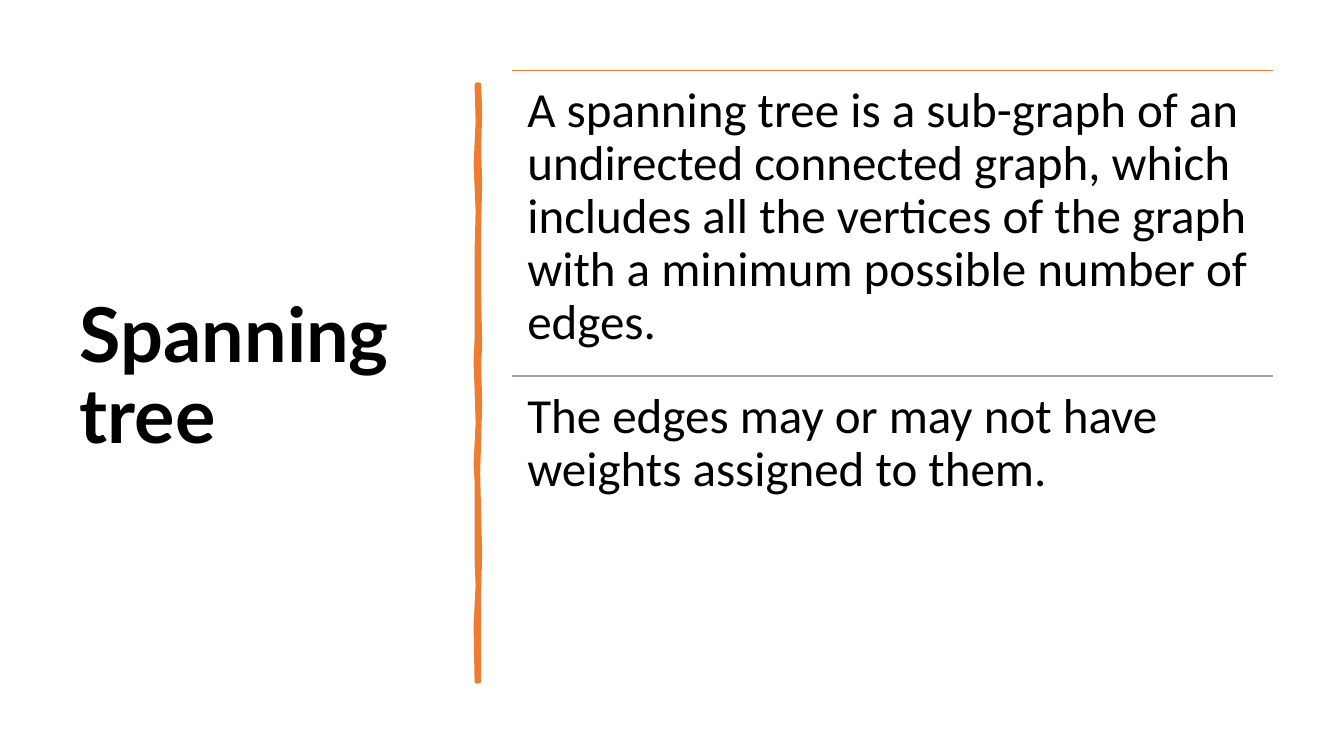
import pptx
import pptx.dml.color
import pptx.enum.shapes
import pptx.enum.text
import pptx.oxml
import pptx.util

Inches = pptx.util.Inches
Pt = pptx.util.Pt


def colour(value):
    return pptx.dml.color.RGBColor.from_string(value)


class SlideBuilder:
    text_colour = "000000"
    accent = "ED7D31"
    grey = "A5A5A5"
    heading_font = "Lato"
    body_font = "Calibri"

    def __init__(self, page):
        self.page = page

    def set_text(self, box, text, font, size, anchor, inset, bold=False):
        frame = box.text_frame
        frame.text = text
        frame.word_wrap = True
        frame.auto_size = pptx.enum.text.MSO_AUTO_SIZE.NONE
        frame.vertical_anchor = anchor
        frame.margin_left = frame.margin_right = Inches(inset)
        frame.margin_top = frame.margin_bottom = Inches(inset)
        para = frame.paragraphs[0]
        para.alignment = pptx.enum.text.PP_ALIGN.LEFT
        para.line_spacing = 0.9
        for span in para.runs:
            span.font.name = font
            span.font.size = Pt(size)
            span.font.bold = bold
            span.font.color.rgb = colour(self.text_colour)

    def title(self, text, left, top, width, height):
        box = self.page.shapes.title
        box.left, box.top = Inches(left), Inches(top)
        box.width, box.height = Inches(width), Inches(height)
        self.set_text(box, text, self.heading_font, 54,
                      pptx.enum.text.MSO_ANCHOR.MIDDLE, 0.1, bold=True)

    def statement(self, text, left, top, width, height):
        box = self.page.shapes.add_textbox(
            Inches(left), Inches(top), Inches(width), Inches(height))
        self.set_text(box, text, self.body_font, 35,
                      pptx.enum.text.MSO_ANCHOR.TOP, 0.15)

    def rule(self, left, top, width, line_colour):
        line = self.page.shapes.add_connector(
            pptx.enum.shapes.MSO_CONNECTOR.STRAIGHT,
            Inches(left), Inches(top), Inches(left + width), Inches(top))
        line.line.color.rgb = colour(line_colour)
        line.line.width = Pt(1)
        properties = line._element.spPr
        properties.append(pptx.oxml.parse_xml(
            '<a:effectLst xmlns:a="http://schemas.openxmlformats.org/drawingml/2006/main"/>'))

    def brush_stroke(self, right_edge, left_edge):
        points = right_edge + left_edge[::-1]
        hundredths = [(x * 100, y * 100) for x, y in points]
        builder = self.page.shapes.build_freeform(*hundredths[0], scale=Inches(0.01))
        builder.add_line_segments(hundredths[1:], close=True)
        stroke = builder.convert_to_shape()
        stroke.shadow.inherit = False
        stroke.fill.solid()
        stroke.fill.fore_color.rgb = colour(self.accent)
        stroke.line.color.rgb = colour(self.accent)
        stroke.line.width = Pt(3.25)


def main():
    deck = pptx.Presentation()
    deck.slide_width, deck.slide_height = Inches(13.33), Inches(7.5)
    builder = SlideBuilder(deck.slides.add_slide(deck.slide_layouts[5]))

    builder.title("Spanning tree", 0.69, 0.7, 3.74, 6.11)
    builder.brush_stroke(
        [(4.75, 0.84), (4.76, 1.1), (4.75, 1.5), (4.76, 1.8), (4.75, 2.26),
         (4.75, 2.94), (4.76, 3.4), (4.75, 3.62), (4.76, 4.0), (4.75, 4.36),
         (4.74, 4.7), (4.75, 5.1), (4.76, 5.5), (4.75, 5.84), (4.75, 6.76)],
        [(4.73, 0.84), (4.74, 1.2), (4.72, 1.64), (4.73, 1.85), (4.74, 2.1),
         (4.73, 2.5), (4.73, 3.35), (4.72, 3.6), (4.73, 3.86), (4.74, 4.2),
         (4.72, 4.6), (4.73, 4.77), (4.73, 5.57), (4.74, 5.8), (4.72, 6.2),
         (4.73, 6.76)])

    left, top, width, height = 5.08, 0.7, 7.55, 3.03
    statements = [
        ("A spanning tree is a sub-graph of an undirected connected graph, "
         "which includes all the vertices of the graph with a minimum "
         "possible number of edges.", builder.accent),
        ("The edges may or may not have weights assigned to them.", builder.grey),
    ]
    for index, (text, line_colour) in enumerate(statements):
        row_top = top + index * height
        builder.rule(left, row_top, width, line_colour)
        builder.statement(text, left, row_top, width, height)

    deck.save("out.pptx")


if __name__ == "__main__":
    main()
